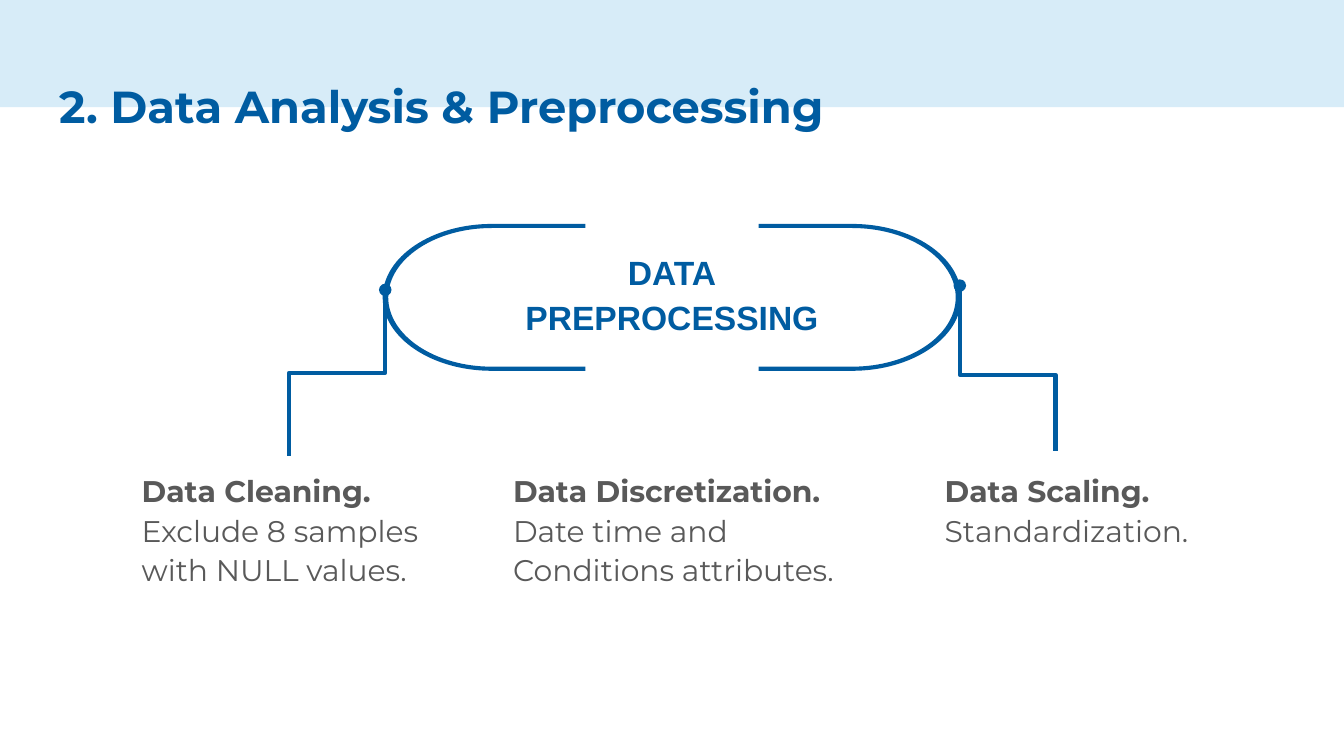
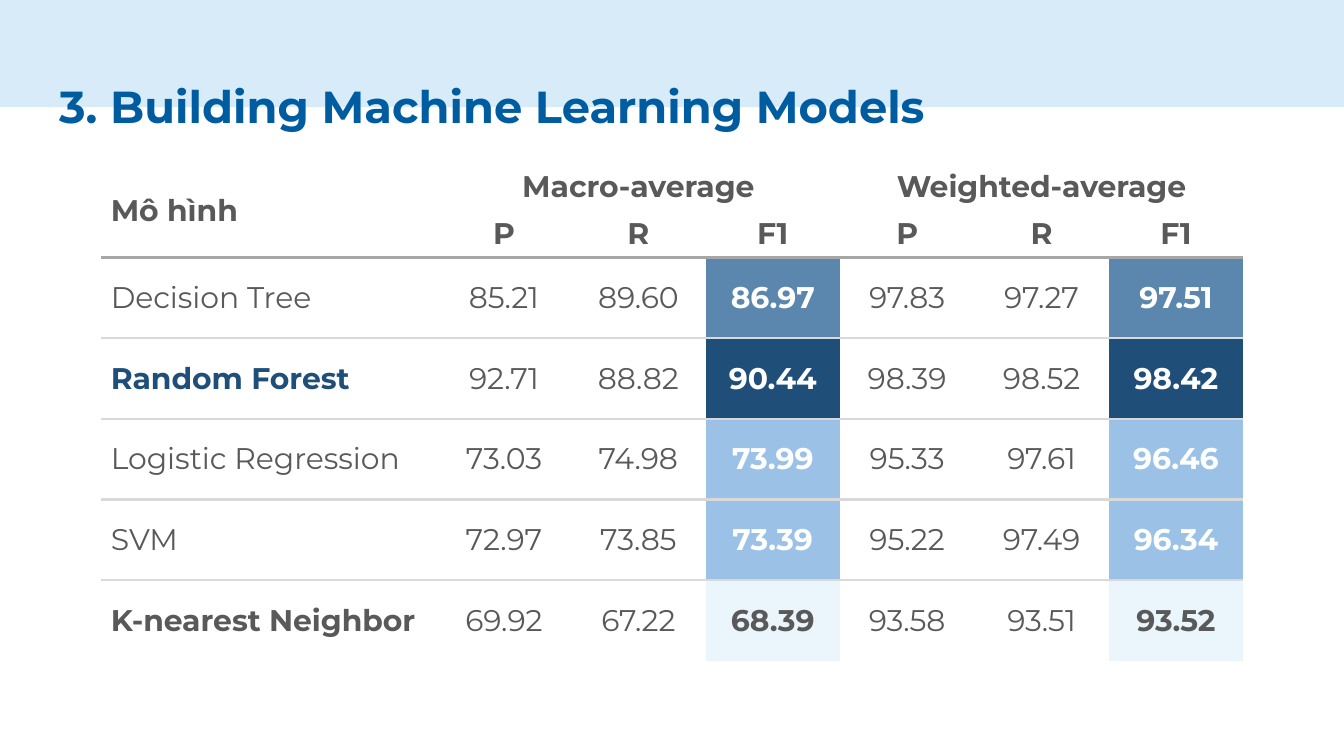
from lxml.etree import SubElement
from pptx import Presentation
from pptx.dml.color import RGBColor
from pptx.enum.shapes import MSO_CONNECTOR, MSO_SHAPE
from pptx.enum.text import MSO_ANCHOR, PP_ALIGN
from pptx.oxml.ns import qn
from pptx.util import Pt

BLUE, PALE_BLUE, GREY, WHITE = "005CA1", "D7ECF8", "595959", "FFFFFF"
NAVY, STEEL, SKY, ICE = "1F4E78", "5B86AD", "9BC2E6", "EAF6FC"
HEADER_RULE, ROW_RULE = ("A6A6A6", 2.25), ("D9D9D9", 1.5)
PAGE_WIDTH, PAGE_HEIGHT = 720, 405
NO_TABLE_STYLE = "{2D5ABB26-0587-4C30-8999-92F81FD0307C}"
CIRCLE_HANDLE = 0.55  # length of a Bezier handle for a quarter circle of radius 1


def colour(code):
    return RGBColor.from_string(code)


class Builder:
    """Holds the deck, its text style and the page being drawn."""

    font = "Montserrat"
    body_size = 16

    def __init__(self):
        self.deck = Presentation()
        self.deck.slide_width = Pt(PAGE_WIDTH)
        self.deck.slide_height = Pt(PAGE_HEIGHT)
        self.layout = self.deck.slide_layouts[6]
        self.page = None

    def new_page(self, title):
        self.page = self.deck.slides.add_slide(self.layout)
        if len(self.deck.slides) == 1:
            self.share_band()
        self.text_box(24.6, 35, 671, 45.4, [title], size=24, text_colour=BLUE)

    def share_band(self):
        """Draw the top band and move it to the layout, where every page shows it."""
        band = self.page.shapes.add_shape(MSO_SHAPE.RECTANGLE, 0, 0, Pt(PAGE_WIDTH), Pt(57.5))
        self.paint(band, PALE_BLUE)
        self.layout.shapes.element.append(band.element)

    def paint(self, shape, fill):
        shape.shadow.inherit = False
        shape.fill.solid()
        shape.fill.fore_color.rgb = colour(fill)
        shape.line.fill.background()

    def style_runs(self, paragraph, size=None, text_colour=GREY, bold=False, font=None):
        for span in paragraph.runs:
            span.font.name = font or self.font
            span.font.size = Pt(size or self.body_size)
            span.font.bold = bold
            span.font.color.rgb = colour(text_colour)

    def text_box(self, left, top, width, height, lines, bold_lines=None, spacing=1.0,
                 align=PP_ALIGN.LEFT, anchor=MSO_ANCHOR.TOP, indent=0, **style):
        """Add one paragraph per line; only the first bold_lines are bold, or all."""
        box = self.page.shapes.add_textbox(Pt(left), Pt(top), Pt(width), Pt(height))
        frame = box.text_frame
        frame.word_wrap = True
        frame.vertical_anchor = anchor
        frame.margin_left = frame.margin_right = Pt(7.2)
        frame.margin_top = frame.margin_bottom = Pt(7.2)
        frame.text = "\n".join(lines)
        for index, paragraph in enumerate(frame.paragraphs):
            paragraph.alignment = align
            paragraph.line_spacing = spacing
            if indent:
                paragraph._p.get_or_add_pPr().set("marL", str(Pt(indent)))
            bold = bold_lines is None or index < bold_lines
            self.style_runs(paragraph, bold=bold, **style)

    def capsule(self, left, top, height, radius, arm):
        """Draw an open capsule as two halves mirrored about the page's centre."""
        halves = self.page.shapes.add_group_shape()
        centre_x, centre_y = left + radius, top + height / 2

        def bend(radius_x, radius_y):
            """Arm end, arc start, then two curves of three points each, and arm end."""
            units = [(0, -1), (CIRCLE_HANDLE, -1), (1, -CIRCLE_HANDLE), (1, 0),
                     (1, CIRCLE_HANDLE), (CIRCLE_HANDLE, 1), (0, 1)]
            arc = [(centre_x - x * radius_x, centre_y + y * radius_y) for x, y in units]
            end = centre_x + arm
            return [(end, centre_y - radius_y), *arc, (end, centre_y + radius_y)]

        outline = bend(radius, height / 2) + bend(radius - 3, height / 2 - 2.2)[::-1]
        for mirrored in (True, False):
            points = [(Pt(PAGE_WIDTH - x if mirrored else x), Pt(y)) for x, y in outline]
            builder = halves.shapes.build_freeform(*points[0])
            builder.add_line_segments(points[1:], close=True)
            half = builder.convert_to_shape()
            self.curve(half, starts=(1, 4, 10, 13))
            self.paint(half, BLUE)

    def curve(self, shape, starts):
        """Turn the three line segments from each start index into one Bezier curve."""
        segments = list(shape.element.iter(qn("a:lnTo")))
        for start in starts:
            first, *others = segments[start:start + 3]
            bezier = SubElement(first.getparent(), qn("a:cubicBezTo"))
            first.addprevious(bezier)
            for segment in (first, *others):
                bezier.append(segment[0])
                segment.getparent().remove(segment)

    def drop_connector(self, begin, end, bend):
        """Draw an elbow that leaves downwards, with a dot at its start."""
        (begin_x, begin_y), (end_x, end_y) = begin, end
        side = 1 if end_x > begin_x else -1
        centre_x, centre_y = (begin_x + end_x) / 2, (begin_y + end_y) / 2
        half_drop, half_run = (end_y - begin_y) / 2, abs(end_x - begin_x) / 2
        elbow = self.page.shapes.add_connector(
            MSO_CONNECTOR.ELBOW,
            Pt(centre_x + side * half_drop), Pt(centre_y - half_run),
            Pt(centre_x - side * half_drop), Pt(centre_y + half_run))
        elbow.line.color.rgb = colour(BLUE)
        elbow.line.width = Pt(2.25)
        properties = elbow.element.spPr
        properties.find(qn("a:xfrm")).set("rot", str((180 + 90 * side) * 60000))
        adjustments = properties.find(qn("a:prstGeom")).find(qn("a:avLst"))
        SubElement(adjustments, qn("a:gd"), name="adj1", fmla=f"val {round(bend * 100000)}")
        SubElement(properties.find(qn("a:ln")), qn("a:headEnd"), type="oval")
        SubElement(properties, qn("a:effectLst"))

    def table(self, left, top, widths, heights):
        frame = self.page.shapes.add_table(
            len(heights), len(widths), Pt(left), Pt(top), Pt(sum(widths)), Pt(sum(heights)))
        table = frame.table
        table.first_row = table.horz_banding = False
        for style in frame.element.iter(qn("a:tableStyleId")):
            style.text = NO_TABLE_STYLE
        for column, width in zip(table.columns, widths):
            column.width = Pt(width)
        for row, height in zip(table.rows, heights):
            row.height = Pt(height)
        return table

    def cell(self, cell, text, centred=True, above=None, below=None, fill=None, **style):
        cell.text = text
        cell.vertical_anchor = MSO_ANCHOR.MIDDLE
        cell.margin_left = cell.margin_right = Pt(5.4)
        cell.margin_top = cell.margin_bottom = 0
        paragraph = cell.text_frame.paragraphs[0]
        paragraph.alignment = PP_ALIGN.CENTER if centred else PP_ALIGN.LEFT
        self.style_runs(paragraph, **style)
        for side, rule in (("a:lnT", above), ("a:lnB", below)):
            if rule:
                line = SubElement(cell._tc.get_or_add_tcPr(), qn(side), w=str(Pt(rule[1])))
                solid = SubElement(line, qn("a:solidFill"))
                SubElement(solid, qn("a:srgbClr"), val=rule[0])
        if fill:
            cell.fill.solid()
            cell.fill.fore_color.rgb = colour(fill)
        else:
            cell.fill.background()


def preprocessing_page(builder):
    builder.new_page("2. Data Analysis & Preprocessing")
    steps = [
        (59.8, 185.8, 9, ["Data Cleaning.", "Exclude 8 samples with NULL values."]),
        (267.8, 208.8, 0, ["Data Discretization.", "Date time and Conditions attributes."]),
        (499, 208.8, 0, ["Data Scaling.", "Standardization."]),
    ]
    for left, width, indent, lines in steps:
        builder.text_box(left, 244.2, width, 70.6, lines, bold_lines=1, spacing=1.1,
                         indent=indent)
    builder.text_box(56.2, 124.4, 607.6, 64.8, ["DATA", "PREPROCESSING"], spacing=1.1,
                     align=PP_ALIGN.CENTER, anchor=MSO_ANCHOR.MIDDLE,
                     size=18, text_colour=BLUE, font="Arial")
    builder.capsule(left=205, top=120, height=78.7, radius=58.5, arm=50.1)
    builder.drop_connector((206.4, 155.3), (154.8, 244.2), bend=0.5)
    builder.drop_connector((514.2, 153), (565.5, 241.6), bend=0.54)


def models_page(builder):
    builder.new_page("3. Building Machine Learning Models")
    table = builder.table(54, 87.6, [180] + [72] * 6, [25.2] * 2 + [43.2] * 5)
    builder.cell(table.cell(0, 0), "Mô hình", centred=False, below=HEADER_RULE, bold=True)
    builder.cell(table.cell(1, 0), "", below=HEADER_RULE)
    table.cell(0, 0).merge(table.cell(1, 0))
    for first, average in ((1, "Macro-average"), (4, "Weighted-average")):
        builder.cell(table.cell(0, first), average, bold=True)
        table.cell(0, first).merge(table.cell(0, first + 2))
        for offset, measure in enumerate(("P", "R", "F1")):
            builder.cell(table.cell(1, first + offset), measure, below=HEADER_RULE, bold=True)

    # Model, name colour, bold name, F1 fill, F1 text colour, scores
    models = [
        ("Decision Tree", GREY, False, STEEL, WHITE, "85.21 89.60 86.97 97.83 97.27 97.51"),
        ("Random Forest", NAVY, True, NAVY, WHITE, "92.71 88.82 90.44 98.39 98.52 98.42"),
        ("Logistic Regression", GREY, False, SKY, WHITE, "73.03 74.98 73.99 95.33 97.61 96.46"),
        ("SVM", GREY, False, SKY, WHITE, "72.97 73.85 73.39 95.22 97.49 96.34"),
        ("K-nearest Neighbor", GREY, True, ICE, GREY, "69.92 67.22 68.39 93.58 93.51 93.52"),
    ]
    for row, (name, name_colour, bold, shade, f1_colour, scores) in enumerate(models, 2):
        rules = {"above": HEADER_RULE if row == 2 else ROW_RULE,
                 "below": ROW_RULE if row <= len(models) else None}
        builder.cell(table.cell(row, 0), name, centred=False, text_colour=name_colour,
                     bold=bold, **rules)
        for column, score in enumerate(scores.split(), 1):
            f1_style = {"fill": shade, "text_colour": f1_colour, "bold": True}
            builder.cell(table.cell(row, column), score, **rules,
                         **(f1_style if column % 3 == 0 else {}))


def main():
    builder = Builder()
    preprocessing_page(builder)
    models_page(builder)
    builder.deck.save("out.pptx")


if __name__ == "__main__":
    main()
